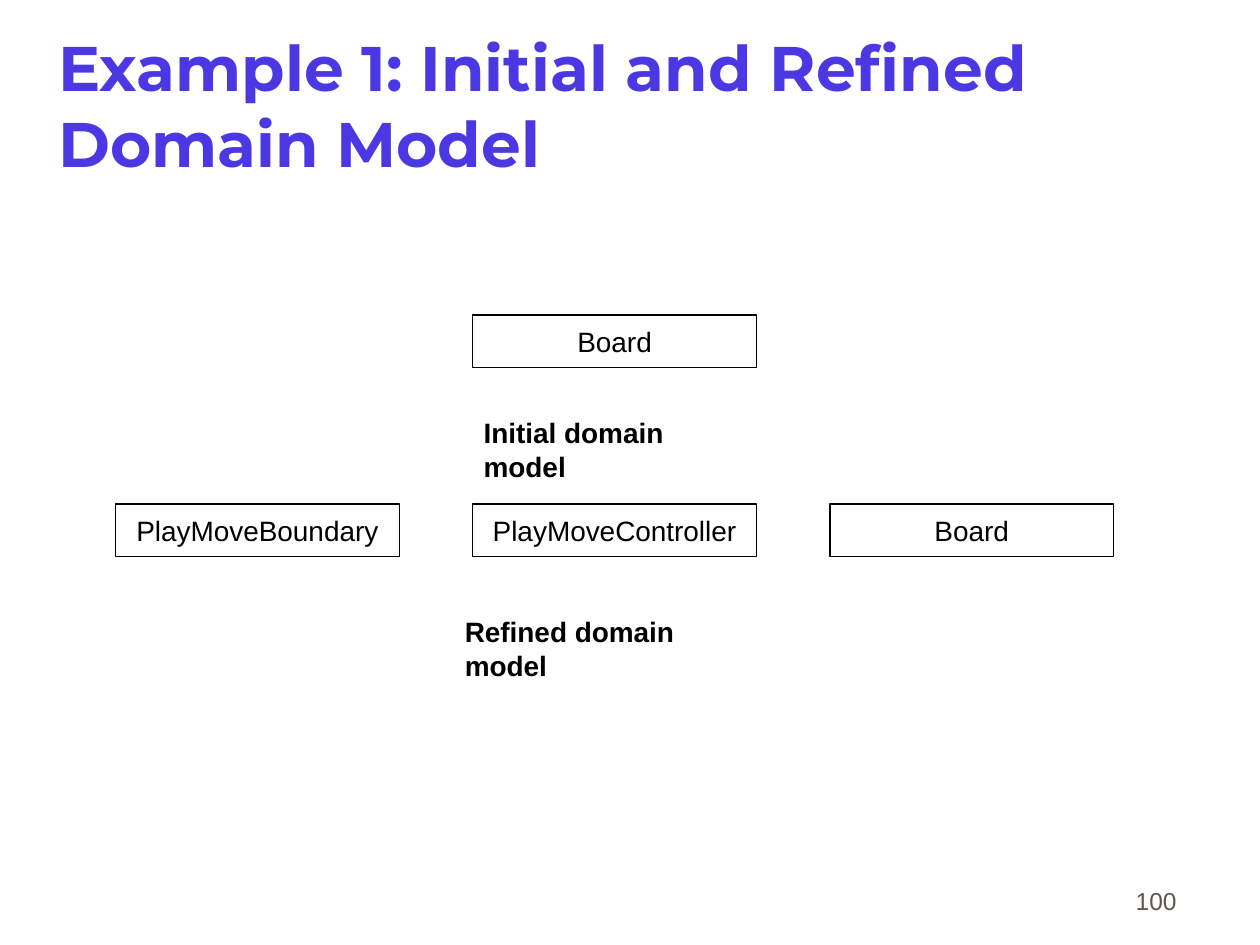
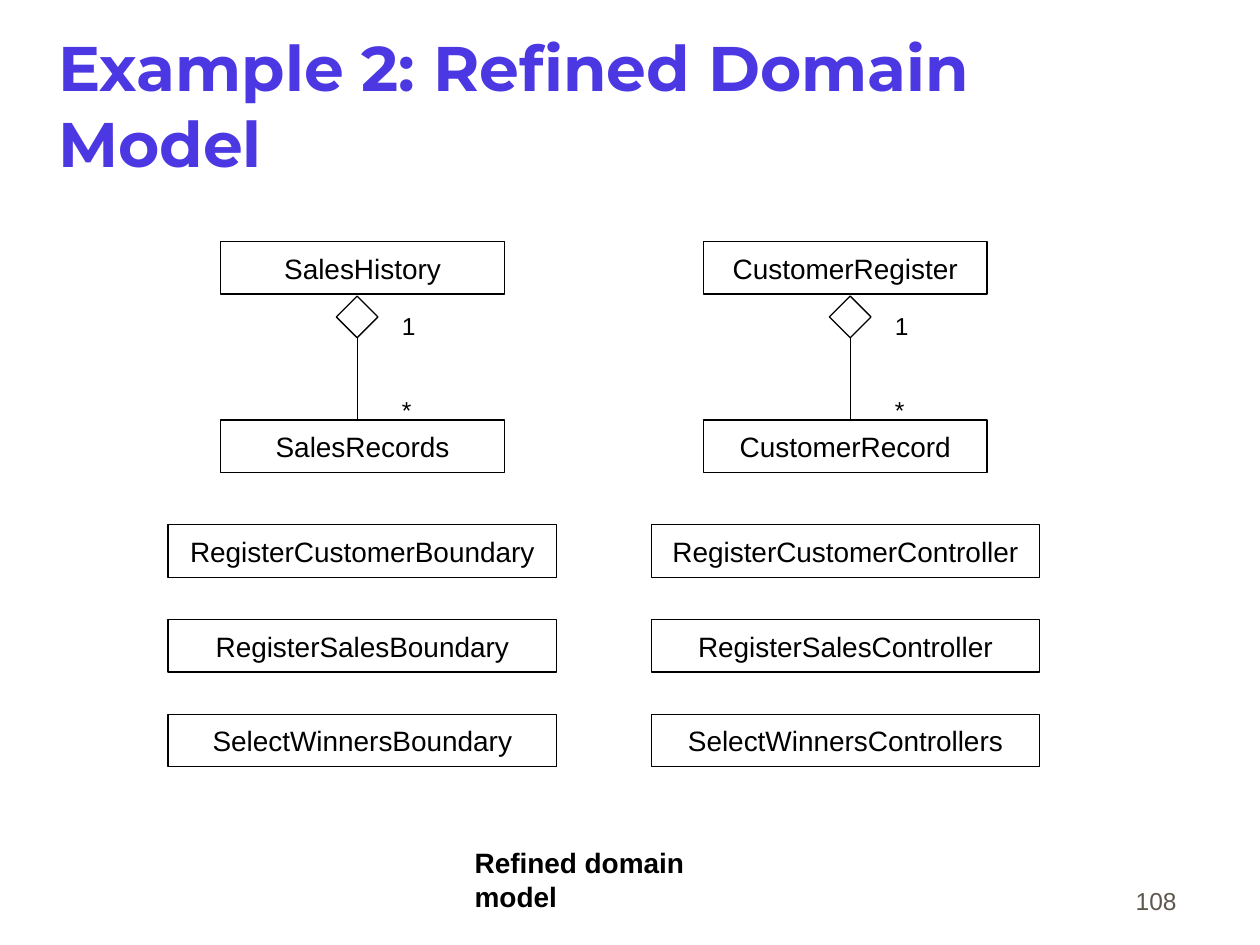
from lxml.etree import SubElement
from pptx import Presentation
from pptx.dml.color import RGBColor
from pptx.enum.shapes import MSO_CONNECTOR, MSO_SHAPE
from pptx.enum.text import MSO_ANCHOR, MSO_AUTO_SIZE, PP_ALIGN
from pptx.oxml.ns import qn
from pptx.util import Cm, Pt

COLORS = {"title": "4C38E2", "ink": "000000", "number": "5E574E"}
BODY_FONT = "Arial"
TITLE_FONT = "Montserrat"
CLASS_HEIGHT = 1.06
CLASS_WIDTH = 5.72
WIDE_CLASS_WIDTH = 7.83
DIAMOND_SIZE = 0.84
LINE_WIDTH = Pt(0.75)


def color(name):
    """Return a palette colour."""
    return RGBColor.from_string(COLORS[name])


def write(shape, text, size, ink="ink", font=BODY_FONT, bold=False,
          align=PP_ALIGN.LEFT, anchor=MSO_ANCHOR.TOP, wrap=True, margins=None):
    """Set the text of a shape and its format."""
    frame = shape.text_frame
    frame.text = text
    frame.word_wrap = wrap
    frame.auto_size = MSO_AUTO_SIZE.NONE if wrap else MSO_AUTO_SIZE.SHAPE_TO_FIT_TEXT
    frame.vertical_anchor = anchor
    if margins:
        frame.margin_left = frame.margin_right = Cm(margins[0])
        frame.margin_top = frame.margin_bottom = Cm(margins[1])
    paragraph = frame.paragraphs[0]
    paragraph.alignment = align
    paragraph.font.name = font
    paragraph.font.size = Pt(size)
    paragraph.font.bold = bold
    paragraph.font.color.rgb = color(ink)


def add_page(presentation, title, number):
    """Add a slide with its title and page number."""
    slide = presentation.slides.add_slide(presentation.slide_layouts[5])
    heading = slide.shapes.title
    heading.left, heading.top = Cm(1.12), Cm(0.46)
    heading.width, heading.height = Cm(21.6), Cm(3.28)
    write(heading, title, 36, "title", TITLE_FONT, True,
          anchor=MSO_ANCHOR.MIDDLE, margins=(0.05, 0.13))
    footer = slide.shapes.add_textbox(Cm(18.69), Cm(17.3), Cm(5.28), Cm(1.27))
    write(footer, number, 14, "number", align=PP_ALIGN.RIGHT, anchor=MSO_ANCHOR.BOTTOM)
    return slide


def add_outline(slide, kind, left, top, width, height):
    """Add an unfilled shape with a thin dark outline."""
    shape = slide.shapes.add_shape(kind, Cm(left), Cm(top), Cm(width), Cm(height))
    shape.shadow.inherit = False
    shape.fill.background()
    shape.line.color.rgb = color("ink")
    shape.line.width = LINE_WIDTH
    return shape


def add_class(slide, name, left, top, width=CLASS_WIDTH):
    """Add a class box with its name."""
    box = add_outline(slide, MSO_SHAPE.RECTANGLE, left, top, width, CLASS_HEIGHT)
    write(box, name, 16, align=PP_ALIGN.CENTER, anchor=MSO_ANCHOR.MIDDLE, margins=(0, 0))


def add_label(slide, text, left, top, width, size=16, bold=True):
    """Add a one-line label that does not wrap."""
    label = slide.shapes.add_textbox(Cm(left), Cm(top), Cm(width), Cm(0.94))
    write(label, text, size, bold=bold, wrap=False)


def add_aggregation(slide, whole, part, left, top, axis):
    """Add a whole above its parts, joined by an aggregation on the given axis."""
    part_top = top + 3.6
    add_class(slide, whole, left, top)
    add_class(slide, part, left, part_top)
    diamond = add_outline(slide, MSO_SHAPE.DIAMOND, axis - DIAMOND_SIZE / 2,
                          top + 1.1, DIAMOND_SIZE, DIAMOND_SIZE)
    link = slide.shapes.add_connector(MSO_CONNECTOR.STRAIGHT, Cm(axis), Cm(top + 1.94),
                                      Cm(axis), Cm(part_top))
    link.begin_connect(diamond, 2)
    link.line.color.rgb = color("ink")
    link.line.width = LINE_WIDTH
    SubElement(link.element.spPr, qn("a:effectLst"))
    add_label(slide, "1", axis + 0.65, top + 1.28, 0.79, 14, False)
    add_label(slide, "*", axis + 0.65, top + 2.96, 0.69, 14, False)


def add_class_row(slide, names, left, top, pitch, width=CLASS_WIDTH):
    """Add class boxes side by side at an equal pitch."""
    for column, name in enumerate(names):
        add_class(slide, name, left + column * pitch, top, width)


def build_move_slide(presentation):
    """Build the slide with the initial and refined models of a move."""
    slide = add_page(presentation, "Example 1: Initial and Refined Domain Model", "100")
    add_class(slide, "Board", 9.53, 6.35)
    add_label(slide, "Initial domain model", 9.5, 8.26, 5.94)
    add_class_row(slide, ["PlayMoveBoundary", "PlayMoveController", "Board"],
                  2.33, 10.16, 7.2)
    add_label(slide, "Refined domain model", 9.12, 12.27, 6.53)


def build_sales_slide(presentation):
    """Build the slide with the refined model of sales and customers."""
    slide = add_page(presentation, "Example 2: Refined Domain Model", "108")
    add_aggregation(slide, "SalesHistory", "SalesRecords", 4.45, 4.87, 7.2)
    add_aggregation(slide, "CustomerRegister", "CustomerRecord", 14.18, 4.87, 17.14)
    use_cases = [
        ("RegisterCustomerBoundary", "RegisterCustomerController"),
        ("RegisterSalesBoundary", "RegisterSalesController"),
        ("SelectWinnersBoundary", "SelectWinnersControllers"),
    ]
    for row, names in enumerate(use_cases):
        add_class_row(slide, names, 3.39, 10.58 + row * 1.91, 9.74, WIDE_CLASS_WIDTH)
    add_label(slide, "Refined domain model", 9.32, 16.93, 6.53)


def main():
    """Build and save the presentation."""
    presentation = Presentation()
    presentation.slide_width, presentation.slide_height = Cm(25.4), Cm(19.05)
    build_move_slide(presentation)
    build_sales_slide(presentation)
    presentation.save("out.pptx")


if __name__ == "__main__":
    main()
